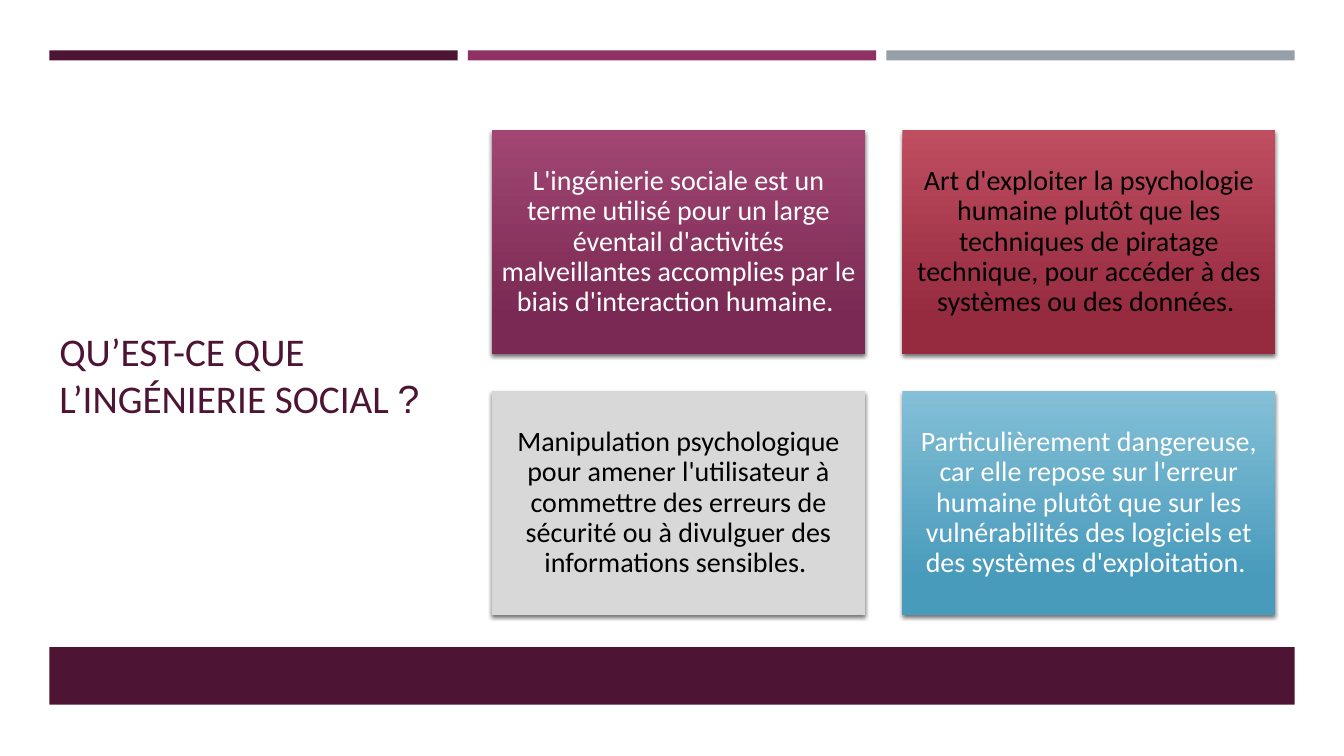
from dataclasses import dataclass

from lxml import etree
from pptx import Presentation
from pptx import util as u
from pptx.dml.color import RGBColor
from pptx.enum import shapes, text
from pptx.oxml.ns import qn
from pptx.shapes.autoshape import Shape
from pptx.slide import Slide

COLOURS = {
    "plum": "4D1434",
    "magenta": "903163",
    "slate": "969FA7",
    "magenta_light": "A24774",
    "magenta_dark": "792953",
    "red_light": "BF4E61",
    "red_dark": "962A3F",
    "grey": "D8D8D8",
    "blue_light": "84BFD7",
    "blue_dark": "489BBB",
    "white": "FFFFFF",
    "black": "000000",
}
FONT = "Calibri"


@dataclass(frozen=True)
class Area:
    left: float
    top: float
    width: float
    height: float

    def emu(self) -> tuple[int, int, int, int]:
        return (u.Inches(self.left), u.Inches(self.top),
                u.Inches(self.width), u.Inches(self.height))


@dataclass(frozen=True)
class Grid:
    left: float
    top: float
    column: float
    row: float
    gap: float

    def cell(self, column: int, row: int = 0, span: int = 1) -> Area:
        return Area(
            self.left + column * (self.column + self.gap),
            self.top + row * (self.row + self.gap),
            span * self.column + (span - 1) * self.gap,
            self.row,
        )


@dataclass(frozen=True)
class Card:
    wording: str
    fill: tuple[str, ...]
    ink: str


BARS = Grid(left=0.49, top=0.5, column=4.05, row=0.1, gap=0.1)
CARD_GRID = Grid(left=4.88, top=1.29, column=3.7, row=2.22, gap=0.37)
FOOTER = Area(BARS.left, 6.42, BARS.cell(0, span=3).width, 0.57)
TITLE = Area(BARS.left, 1.14, 4.15, 5.15)

CARDS = [
    Card("L'ingénierie sociale est un terme utilisé pour un large éventail "
         "d'activités malveillantes accomplies par le biais d'interaction humaine. ",
         ("magenta_light", "magenta_dark"), "white"),
    Card("Art d'exploiter la psychologie humaine plutôt que les techniques de "
         "piratage technique, pour accéder à des systèmes ou des données. ",
         ("red_light", "red_dark"), "black"),
    Card("Manipulation psychologique pour amener l'utilisateur à commettre des "
         "erreurs de sécurité ou à divulguer des informations sensibles. ",
         ("grey",), "black"),
    Card("Particulièrement dangereuse, car elle repose sur l'erreur humaine plutôt "
         "que sur les vulnérabilités des logiciels et des systèmes d'exploitation. ",
         ("blue_light", "blue_dark"), "white"),
]


def colour(name: str) -> RGBColor:
    return RGBColor.from_string(COLOURS[name])


def add_block(page: Slide, area: Area, fill: tuple[str, ...]) -> Shape:
    box = page.shapes.add_shape(shapes.MSO_SHAPE.RECTANGLE, *area.emu())
    box.shadow.inherit = False
    box.line.fill.background()
    if len(fill) == 1:
        box.fill.solid()
        box.fill.fore_color.rgb = colour(fill[0])
    else:
        box.fill.gradient()
        box.fill.gradient_angle = 270
        for stop, name, position in zip(box.fill.gradient_stops, fill, (0, 0.84)):
            stop.color.rgb = colour(name)
            stop.position = position
    return box


def add_shadow(box: Shape) -> None:
    effects = box.element.spPr.find(qn("a:effectLst"))
    shadow = etree.SubElement(
        effects, qn("a:outerShdw"), blurRad=str(u.Pt(3)), dist=str(u.Pt(2)),
        dir="5400000", algn="ctr", rotWithShape="0")
    tint = etree.SubElement(shadow, qn("a:srgbClr"), val=COLOURS["black"])
    etree.SubElement(tint, qn("a:alpha"), val="55000")


def add_card(page: Slide, card: Card, area: Area) -> None:
    box = add_block(page, area, card.fill)
    add_shadow(box)
    frame = box.text_frame
    frame.text = card.wording
    frame.word_wrap = True
    frame.vertical_anchor = text.MSO_ANCHOR.MIDDLE
    frame.margin_left = frame.margin_right = u.Inches(0.08)
    frame.margin_top = frame.margin_bottom = u.Inches(0.08)
    para = frame.paragraphs[0]
    para.alignment = text.PP_ALIGN.CENTER
    para.line_spacing = 0.9
    span = para.runs[0]
    span.font.name = FONT
    span.font.size = u.Pt(20)
    span.font.color.rgb = colour(card.ink)


def add_title(page: Slide) -> None:
    frame = page.shapes.add_textbox(*TITLE.emu()).text_frame
    frame.word_wrap = True
    frame.vertical_anchor = text.MSO_ANCHOR.MIDDLE
    para = frame.paragraphs[0]
    para.text = "QU’EST-CE QUE L’INGÉNIERIE SOCIAL "
    para.add_run().text = "?"
    for span, font in zip(para.runs, (FONT, "Arial")):
        span.font.name = font
        span.font.size = u.Pt(28)
        span.font.color.rgb = colour("plum")


def main() -> None:
    deck = Presentation()
    deck.slide_width = u.Inches(13.33)
    deck.slide_height = u.Inches(7.5)
    page = deck.slides.add_slide(deck.slide_layouts[6])
    for column, name in enumerate(("plum", "magenta", "slate")):
        add_block(page, BARS.cell(column), (name,))
    add_block(page, FOOTER, ("plum",))
    add_title(page)
    for index, card in enumerate(CARDS):
        row, column = divmod(index, 2)
        add_card(page, card, CARD_GRID.cell(column, row))
    deck.save("out.pptx")


if __name__ == "__main__":
    main()
